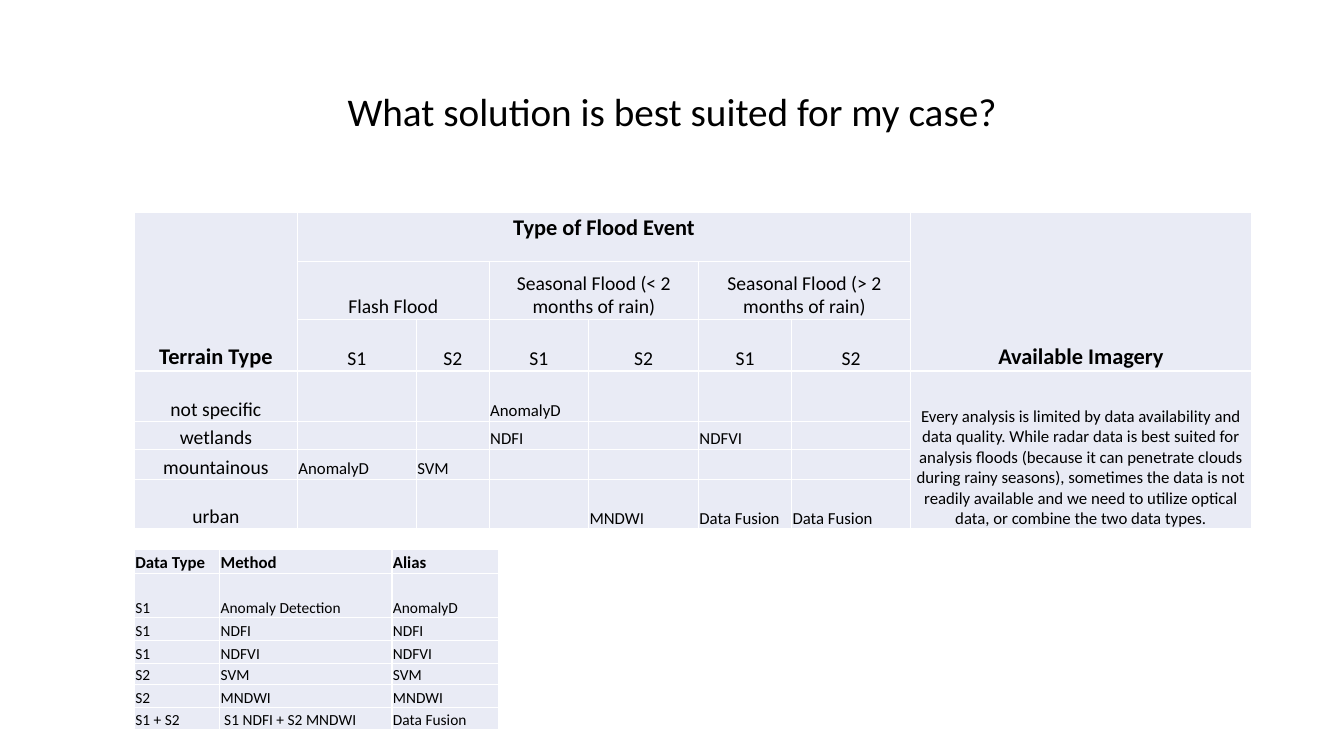
from lxml.etree import SubElement
from pptx import Presentation
from pptx.dml.color import RGBColor
from pptx.enum.text import MSO_ANCHOR, PP_ALIGN
from pptx.oxml.ns import qn
from pptx.util import Pt

FONT, INK, PALE, WHITE = "Calibri", "000000", "E9EBF5", "FFFFFF"

NOTE = (
    "Every analysis is limited by data availability and data quality. "
    "While radar data is best suited for analysis floods (because it can "
    "penetrate clouds during rainy seasons), sometimes the data is not readily "
    "available and we need to utilize optical data, or combine the two data types."
)
FLOODS = [
    ["Terrain Type", "Type of Flood Event", "", "", "", "", "", "Available Imagery"],
    ["", "Flash Flood", "", "Seasonal Flood (< 2 months of rain)", "",
     "Seasonal Flood (> 2 months of rain)", "", ""],
    ["", "S1", "S2", "S1", "S2", "S1", "S2", ""],
    ["not specific", "", "", "AnomalyD", "", "", "", NOTE],
    ["wetlands", "", "", "NDFI", "", "NDFVI", "", ""],
    ["mountainous", "AnomalyD", "SVM", "", "", "", "", ""],
    ["urban", "", "", "", "MNDWI", "Data Fusion", "Data Fusion", ""],
]
FLOOD_COLS = [116.5, 85, 52, 71, 78.5, 66.5, 85, 243.5]
FLOOD_ROWS = [35, 41, 37, 36, 20, 21.5, 35.5]
SPANS = [(0, 0, 2, 0), (0, 1, 0, 6), (0, 7, 2, 7), (1, 1, 1, 2),
         (1, 3, 1, 4), (1, 5, 1, 6), (3, 7, 6, 7)]

METHODS = [
    ["Data Type", "Method", "Alias"],
    ["S1", "Anomaly Detection", "AnomalyD"],
    ["S1", "NDFI", "NDFI"],
    ["S1", "NDFVI", "NDFVI"],
    ["S2", "SVM", "SVM"],
    ["S2", "MNDWI", "MNDWI"],
    ["S1 + S2", " S1 NDFI + S2 MNDWI", "Data Fusion"],
]
METHOD_COLS = [61, 123, 76.5]
METHOD_ROWS = [17, 31.5, 16.5, 16.5, 15, 16.5, 16]


def paint(color):
    """Turn a hex string into a colour."""
    return RGBColor.from_string(color)


def write(frame, text, size, bold=False, center=False):
    """Set one paragraph of text and format it."""
    frame.text = text
    par = frame.paragraphs[0]
    par.alignment = PP_ALIGN.CENTER if center else PP_ALIGN.LEFT
    for run in par.runs:
        font = run.font
        font.name, font.size, font.bold = FONT, Pt(size), bold
        font.color.rgb = paint(INK)
    if not text:
        SubElement(par._p, qn("a:endParaRPr"), sz=str(size * 100))


def edge(cell):
    """Draw a thin white border around a cell."""
    props = cell._tc.get_or_add_tcPr()
    for side in ("lnL", "lnR", "lnT", "lnB"):
        line = SubElement(props, qn(f"a:{side}"), w=str(Pt(1)))
        fill = SubElement(line, qn("a:solidFill"))
        SubElement(fill, qn("a:srgbClr"), val=WHITE)


def grid(slide, left, top, cols, rows, data, style, spans=()):
    """Add a table whose text style follows from row and column."""
    table = slide.shapes.add_table(
        len(rows), len(cols), Pt(left), Pt(top), Pt(sum(cols)), Pt(sum(rows))
    ).table
    table.first_row = table.horz_banding = False
    for col, width in zip(table.columns, cols):
        col.width = Pt(width)
    for row, height in zip(table.rows, rows):
        row.height = Pt(height)
    for r, line in enumerate(data):
        for c, text in enumerate(line):
            cell = table.cell(r, c)
            edge(cell)
            cell.fill.solid()
            cell.fill.fore_color.rgb = paint(PALE)
            cell.margin_left = cell.margin_right = cell.margin_top = Pt(0.7)
            cell.margin_bottom = Pt(0)
            cell.vertical_anchor = MSO_ANCHOR.BOTTOM
            write(cell.text_frame, text, *style(r, c))
    for r, c, last, end in spans:
        table.cell(r, c).merge(table.cell(last, end))
    return table


def flood_style(r, c):
    """Give size, weight and centring for a flood table cell."""
    size = 16 if r == 0 else 14 if r < 3 or c == 0 else 12
    return size, r == 0, r < 3 or c in (0, 7)


def method_style(r, c):
    """Give size and weight for a method table cell."""
    return (12, True) if r == 0 else (11, False)


def head(slide, text):
    """Place and format the slide title."""
    title = slide.shapes.title
    title.left, title.top, title.width, title.height = Pt(66), Pt(29), Pt(828), Pt(104)
    write(title.text_frame, text, 28, center=True)
    title.text_frame.vertical_anchor = MSO_ANCHOR.MIDDLE
    title.text_frame.paragraphs[0].line_spacing = 0.9


def main():
    """Build the slide and save it."""
    deck = Presentation()
    deck.slide_width, deck.slide_height = Pt(960), Pt(540)
    slide = deck.slides.add_slide(deck.slide_layouts[5])
    head(slide, "What solution is best suited for my case?")
    floods = grid(slide, 96, 152, FLOOD_COLS, FLOOD_ROWS, FLOODS, flood_style, SPANS)
    floods.cell(0, 1).vertical_anchor = MSO_ANCHOR.TOP
    grid(slide, 96, 392.5, METHOD_COLS, METHOD_ROWS, METHODS, method_style)
    deck.save("out.pptx")


if __name__ == "__main__":
    main()
